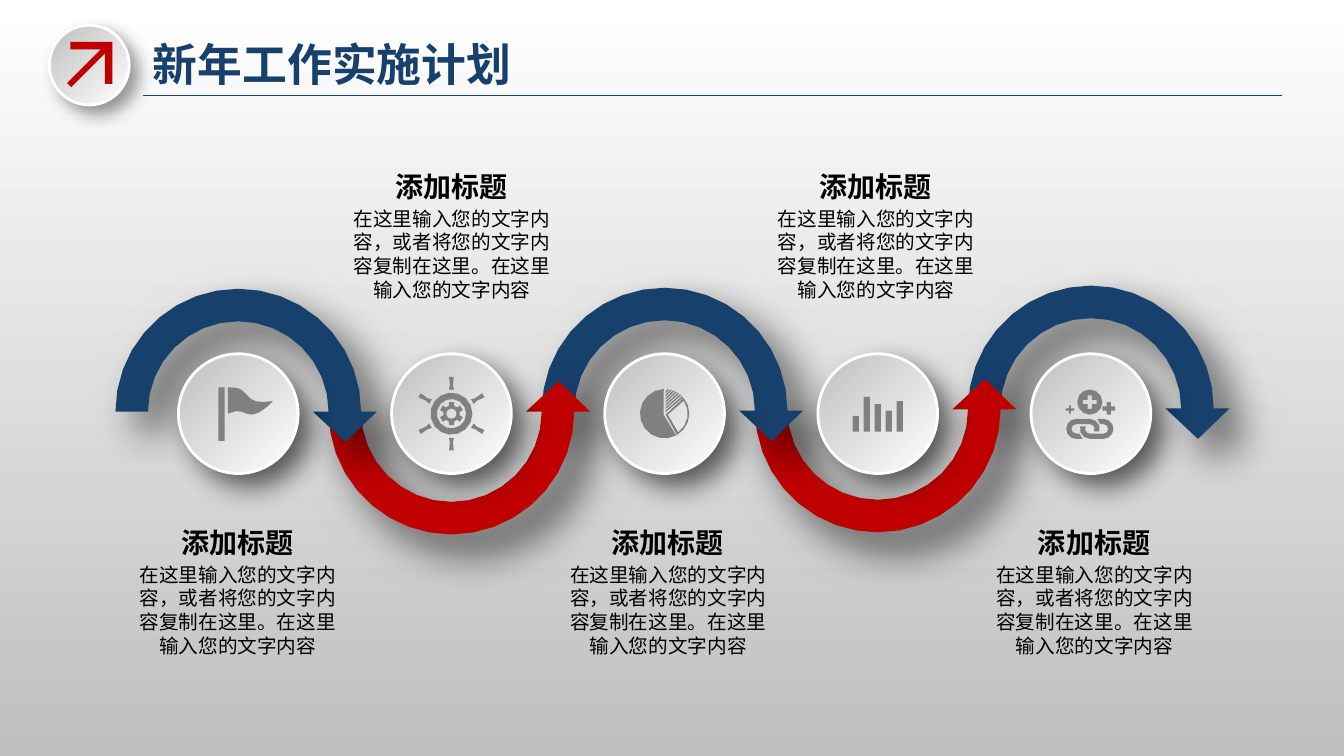
from math import ceil, cos, radians, sin, sqrt

from lxml import etree
from pptx import Presentation
from pptx.dml.color import RGBColor
from pptx.enum.shapes import MSO_CONNECTOR, MSO_SHAPE
from pptx.enum.text import MSO_ANCHOR, MSO_AUTO_SIZE, PP_ALIGN
from pptx.oxml.ns import qn
from pptx.util import Emu, Pt

STRAIGHT = MSO_CONNECTOR.STRAIGHT
OVAL = MSO_SHAPE.OVAL
TOP = MSO_ANCHOR.TOP
NO_FIT = MSO_AUTO_SIZE.NONE
LEFT, CENTER = PP_ALIGN.LEFT, PP_ALIGN.CENTER

PX = 9525
FONT = "Noto Sans CJK SC"
COLORS = {"navy": "17406D", "red": "C00000", "silver": "BFBFBF",
          "white": "FFFFFF", "icon": "808080", "black": "000000"}
HEADING = "添加标题"
DETAIL = "在这里输入您的文字内容，或者将您的文字内容复制在这里。在这里输入您的文字内容"
LABELS = [(125, 495), (535, 495), (941, 495), (329, 156), (733, 156)]
STEP_X, STEP_GAP, MEDAL_Y = 227, 203, 394


def px(length):
    return Emu(round(length * PX))


def rgb(name):
    return RGBColor.from_string(COLORS[name])


def fade(fill, start, end, angle):
    fill.gradient()
    fill.gradient_angle = angle
    for stop, name in zip(fill.gradient_stops, (start, end)):
        stop.color.rgb = rgb(name)


def cast_shadow(shape, opacity, blur, distance):
    shape.shadow.inherit = False
    effects = shape._element.spPr.find(qn("a:effectLst"))
    outer = etree.SubElement(effects, qn("a:outerShdw"), blurRad=str(Pt(blur)),
                             dist=str(Pt(distance)), dir="2700000",
                             algn="tl", rotWithShape="0")
    tint = etree.SubElement(outer, qn("a:srgbClr"), val=COLORS["black"])
    etree.SubElement(tint, qn("a:alpha"), val=str(opacity * 1000))


def arc(cx, cy, radius, start, end):
    steps = ceil(abs(radians(end - start)) * sqrt(radius) / 1.9)
    angles = [radians(start + (end - start) * i / steps) for i in range(steps + 1)]
    return [(cx + radius * cos(a), cy + radius * sin(a)) for a in angles]


def bezier(a, b, c, d, steps=4):
    ts = [i / steps for i in range(steps + 1)]
    return [tuple((1 - t) ** 3 * p + 3 * t * (1 - t) ** 2 * q
                  + 3 * t * t * (1 - t) * r + t ** 3 * s
                  for p, q, r, s in zip(a, b, c, d)) for t in ts]


def bar(left, top, right, bottom):
    return [(left, top), (right, top), (right, bottom), (left, bottom)]


def plus(cx, cy, arm, half):
    quarter = [(half, -half), (arm, -half), (arm, half)]
    points = []
    for _ in range(4):
        points += [(cx + x, cy + y) for x, y in quarter]
        quarter = [(-y, x) for x, y in quarter]
    return points


def spin(points, angle):
    c, s = cos(radians(angle)), sin(radians(angle))
    return [(x * c - y * s, x * s + y * c) for x, y in points]


def draw_outline(slide, x, y, loops, color):
    placed = [[(px(x + dx), px(y + dy)) for dx, dy in loop] for loop in loops]
    builder = slide.shapes.build_freeform(*placed[0][0], scale=1.0)
    for index, loop in enumerate(placed):
        if index:
            builder.move_to(*loop[0])
        builder.add_line_segments(loop[1:], close=True)
    outline = builder.convert_to_shape()
    outline.fill.solid()
    outline.fill.fore_color.rgb = rgb(color)
    outline.line.fill.background()
    outline.shadow.inherit = False
    return outline


def flag_icon():
    cloth = bezier((7, -19), (2, -25), (-2, -25), (-10, -25))
    cloth += bezier((-10, 0), (3, -6), (5, 1), (13, 1))
    cloth += bezier((13, 1), (21, 0), (28, -7), (33, -12))[1:]
    cloth += bezier((33, -12), (19, -10), (13, -11), (7, -19))[1:-1]
    return [bar(-19, -25, -13, 26), cloth]


def wheel_icon():
    handle = [(23, -2.5), (27, -1.4), (35, -2.2), (35, 2.2), (27, 1.4), (23, 2.5)]
    tooth = [(7.5, -2.5), (11, -2.5), (11, 2.5), (7.5, 2.5)]
    turns = [30 + 60 * i for i in range(6)]
    gear = [point for turn in turns for point in spin(tooth, turn)]
    rings = [arc(0, 0, radius, 0, 360) for radius in (20, 14, 5)]
    return rings + [gear] + [spin(handle, turn) for turn in turns]


def pie_icon():
    loops = [[(-1, 1)] + arc(0, 0, 23.5, 62, 268),
             [(1, 1)] + arc(0, 0, 23.5, -40, 60),
             [(3, 1)] + arc(0, 0, 22, -34, 54)]
    for i in range(7):
        edge = [spin([(23.5, 0)], turn - 6.3 * i)[0] for turn in (-45, -41.5)]
        loops.append([(1, -3 - 3 * i)] + edge + [(1, -1.4 - 3 * i)])
    return loops


def bars_icon():
    return [bar(-24 + 10.5 * i, top, -18 + 10.5 * i, 17)
            for i, top in enumerate((2, -16, -9, -3, -12))]


def link_icon():
    link = [(-11, 19)] + arc(-14, 14.5, 4.5, 90, 270)
    link += arc(-1, 14.5, 4.5, -90, 30) + [(8, 17)]
    link += arc(-1, 14.5, 9.5, 15, -90) + arc(-14, 14.5, 9.5, 270, 90) + [(-8, 24)]
    mate = [(-2 - x, 29 - y) for x, y in link]
    return [link, mate, plus(-20, -4, 4, 1), plus(17, -5, 6, 2),
            arc(-1, -11, 12, 0, 360), plus(-1, -11, 6.5, 2)]


def draw_medal(slide, x, y, size, shadow):
    medal = slide.shapes.add_shape(OVAL, px(x), px(y), px(size), px(size))
    fade(medal.fill, "white", "silver", 135)
    medal.line.color.rgb = rgb("white")
    medal.line.width = Pt(2)
    cast_shadow(medal, *shadow)


def draw_arc_arrow(slide, x, base, flip, color):
    points = arc(0, 0, 117, 180, 360)
    points += [(132, 0), (102, 29), (71, 0)] + arc(0, 0, 86, 360, 180)
    arrow = draw_outline(slide, x, base, [[(dx, dy * flip) for dx, dy in points]], color)
    cast_shadow(arrow, 60, 30, 20)


def write_text(box, text, size, color, bold, align):
    frame = box.text_frame
    frame.word_wrap = True
    frame.auto_size = NO_FIT
    frame.vertical_anchor = TOP
    paragraph = frame.paragraphs[0]
    paragraph.alignment = align
    paragraph.line_spacing = Pt(round(size * 1.21, 1))
    run = paragraph.add_run()
    run.text = text
    run.font.size = Pt(size)
    run.font.bold = bold
    run.font.name = FONT
    run.font.color.rgb = rgb(color)
    etree.SubElement(run._r.get_or_add_rPr(), qn("a:ea"), typeface=FONT)


def draw_label(slide, x, y):
    heading = slide.shapes.add_textbox(px(x), px(y), px(202), px(42))
    write_text(heading, HEADING, 20, "black", True, CENTER)
    detail = slide.shapes.add_textbox(px(x - 10), px(y + 36), px(223), px(100))
    write_text(detail, DETAIL, 14, "black", False, CENTER)


def draw_header(slide, x, y):
    draw_medal(slide, x, y, 76, (40, 12, 8))
    draw_outline(slide, x, y, [[(53, 56), (53, 27), (21, 59), (17, 55), (49, 23),
                                (20, 23), (20, 16), (60, 16), (60, 56)]], "red")
    title = slide.shapes.title
    title.left, title.top, title.width, title.height = map(px, (x + 89, y + 6, 574, 61))
    write_text(title, "新年工作实施计划", 32, "navy", True, LEFT)
    rule = slide.shapes.add_connector(STRAIGHT, px(x + 89), px(y + 67),
                                      px(x + 1174), px(y + 67))
    rule.line.color.rgb = rgb("navy")
    rule.line.width = Pt(1)
    etree.SubElement(rule._element.spPr, qn("a:effectLst"))


def draw_process(slide):
    icons = [flag_icon, wheel_icon, pie_icon, bars_icon, link_icon]
    centers = [STEP_X + STEP_GAP * i for i in range(len(icons))]
    for i, x in reversed(list(enumerate(centers))):
        flip, color = (-1, "red") if i % 2 else (1, "navy")
        draw_arc_arrow(slide, x, 392 - 3 * i // 4, flip, color)
    for x, icon in zip(centers, icons):
        draw_medal(slide, x - 57, MEDAL_Y - 57, 114, (60, 20, 12))
        draw_outline(slide, x, MEDAL_Y, icon(), "icon")


def main():
    deck = Presentation()
    deck.slide_width, deck.slide_height = px(1280), px(720)
    slide = deck.slides.add_slide(deck.slide_layouts[5])
    fade(slide.background.fill, "silver", "white", 90)
    draw_header(slide, 47, 24)
    draw_process(slide)
    for x, y in LABELS:
        draw_label(slide, x, y)
    deck.save("out.pptx")


if __name__ == "__main__":
    main()
